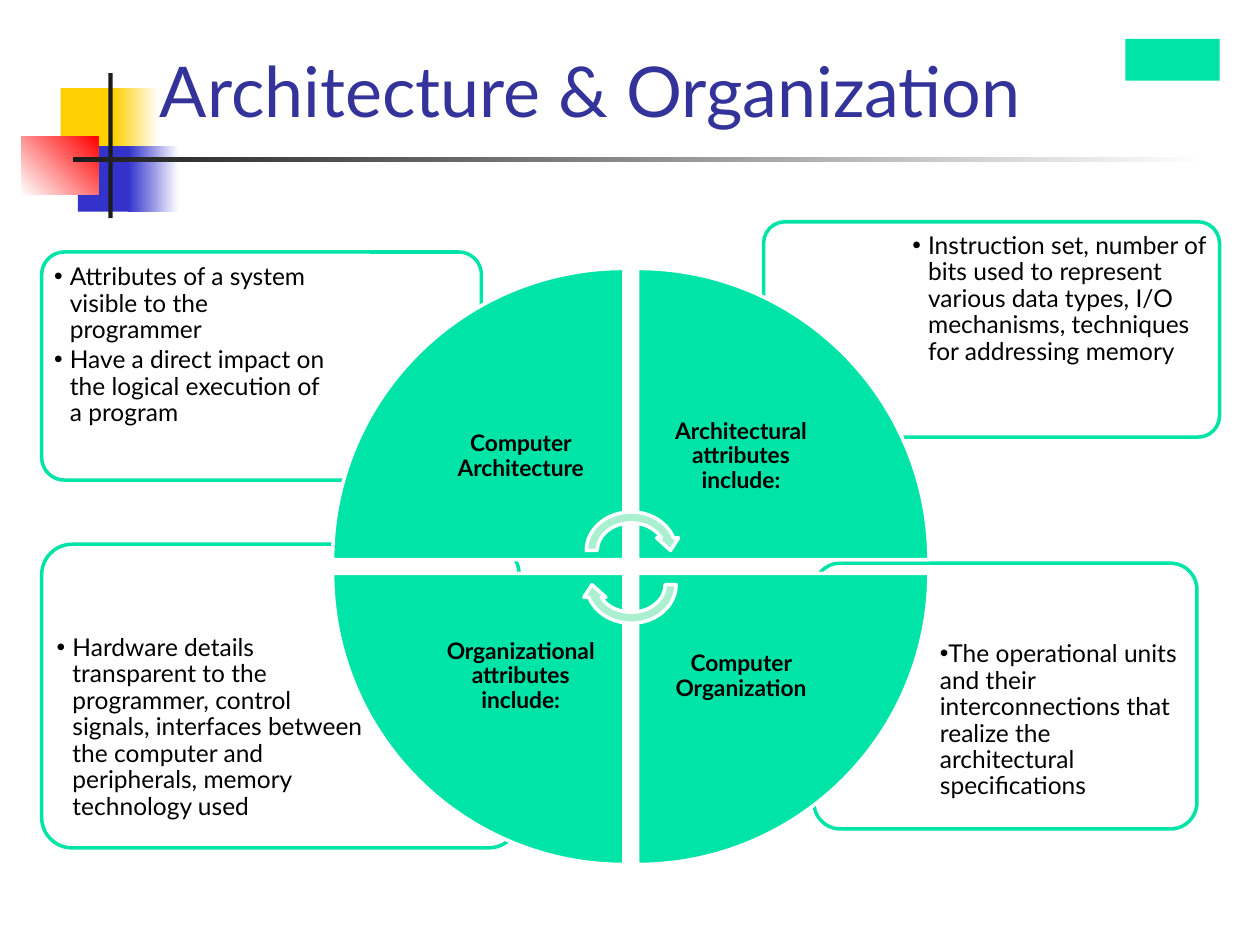
from dataclasses import dataclass
from typing import NamedTuple, Optional

from lxml.etree import SubElement
from pptx import Presentation
from pptx.dml.color import RGBColor
from pptx.enum.shapes import MSO_SHAPE
from pptx.enum.text import MSO_ANCHOR, MSO_AUTO_SIZE, PP_ALIGN
from pptx.oxml.ns import qn
from pptx.util import Pt


@dataclass(frozen=True)
class Theme:
    """Colours, font and type sizes of the slide."""

    font: str = "Lato"
    accent: str = "00E4A8"
    arrow: str = "ABEFD1"
    white: str = "FFFFFF"
    text: str = "000000"
    title: str = "333399"
    yellow: str = "FFCF01"
    blue: str = "3333CC"
    red: str = "FF0000"
    dark: str = "1C1C1C"
    title_size: float = 40
    list_size: float = 14
    label_size: float = 13
    outline: float = 2


class Box(NamedTuple):
    """Position and size in points."""

    left: float
    top: float
    width: float
    height: float


class Ornament(NamedTuple):
    """Plain or fading rectangle of the slide design."""

    box: Box
    color: str
    fade_to: Optional[str] = None
    angle: float = 0


class Card(NamedTuple):
    """Rounded frame with its list of points."""

    frame: Box
    list_box: Box
    points: tuple
    inset: float = 4.3
    indent: float = 9


class Quadrant(NamedTuple):
    """Wedge of the circle with its label."""

    column: int
    row: int
    label: str


THEME = Theme()
WEDGE_SIZE, LABEL_SIZE = 166.4, 118
WEDGE_LEFTS, WEDGE_TOPS = (190.1, 364.4), (153.4, 327.6)

ORNAMENTS = (
    Ornament(Box(34.6, 50.4, 34.6, 37.4), THEME.yellow),
    Ornament(Box(64.8, 50.4, 25.9, 37.4), THEME.yellow, THEME.white),
    Ornament(Box(44.6, 83.5, 33.1, 37.4), THEME.blue),
    Ornament(Box(73.4, 83.5, 28.8, 37.4), THEME.blue, THEME.white),
    Ornament(Box(12.2, 77.8, 43.9, 33.1), THEME.white, THEME.red, 45),
    Ornament(Box(61.9, 41.8, 2.5, 82.8), THEME.dark),
    Ornament(Box(41.8, 90, 648, 2.5), THEME.dark, THEME.white),
    Ornament(Box(643, 22.3, 54, 23.8), THEME.accent),
)

CARDS = (
    Card(Box(465.1, 321.8, 218.9, 151.9), Box(534.2, 363.6, 146.2, 107.3),
         ("The operational units and their interconnections that realize the "
          "architectural specifications",), inset=2.9, indent=0),
    Card(Box(23.8, 311, 272.9, 173.5), Box(28.1, 358.6, 183.6, 122.4),
         ("Hardware details transparent to the programmer, control signals, interfaces "
          "between the computer and peripherals, memory technology used",)),
    Card(Box(436.3, 126.7, 260.6, 123.1), Box(517, 128.9, 177.1, 87.1),
         ("Instruction set, number of bits used to represent various data types, I/O "
          "mechanisms, techniques for addressing memory",)),
    Card(Box(23.8, 144, 251.3, 130.3), Box(26.6, 146.9, 170.6, 91.4),
         ("Attributes of a system visible to the programmer",
          "Have a direct impact on the logical execution of a program")),
)

QUADRANTS = (
    Quadrant(0, 0, "Computer Architecture"),
    Quadrant(1, 0, "Architectural attributes include:"),
    Quadrant(1, 1, "Computer Organization"),
    Quadrant(0, 1, "Organizational attributes include:"),
)


def add_figure(slide, kind: MSO_SHAPE, box: Box, color: str,
               outline: Optional[str] = None, rotation: float = 0):
    """Draw a preset shape without shadow."""
    figure = slide.shapes.add_shape(kind, *map(Pt, box))
    figure.shadow.inherit = False
    figure.rotation = rotation
    figure.fill.solid()
    figure.fill.fore_color.rgb = RGBColor.from_string(color)
    if outline:
        figure.line.color.rgb = RGBColor.from_string(outline)
        figure.line.width = Pt(THEME.outline)
    else:
        figure.line.fill.background()
    return figure


def add_ornament(slide, ornament: Ornament) -> None:
    """Draw one rectangle of the slide design."""
    rectangle = add_figure(slide, MSO_SHAPE.RECTANGLE, ornament.box, ornament.color)
    if ornament.fade_to:
        rectangle.fill.gradient()
        rectangle.fill.gradient_angle = ornament.angle
        for stop, color in zip(rectangle.fill.gradient_stops,
                               (ornament.color, ornament.fade_to)):
            stop.color.rgb = RGBColor.from_string(color)


def prepare_frame(holder, inset: float, anchor: MSO_ANCHOR):
    """Set wrapping, margins and anchor of a text frame."""
    frame = holder.text_frame
    frame.word_wrap = True
    frame.auto_size = MSO_AUTO_SIZE.NONE
    frame.vertical_anchor = anchor
    frame.margin_left = frame.margin_right = Pt(inset)
    frame.margin_top = frame.margin_bottom = Pt(inset)
    return frame


def add_run(paragraph, wording: str, size: float, color: str, bold: bool = False) -> None:
    """Append a formatted run to a paragraph."""
    run = paragraph.add_run()
    run.text = wording
    run.font.name = THEME.font
    run.font.size = Pt(size)
    run.font.bold = bold
    run.font.color.rgb = RGBColor.from_string(color)


def place(holder, box: Box) -> None:
    """Move a placeholder to its box and to the front."""
    holder.left, holder.top, holder.width, holder.height = map(Pt, box)
    holder.element.getparent().append(holder.element)


def add_card(slide, holder, card: Card) -> None:
    """Draw a frame and fill its list placeholder."""
    outline = add_figure(slide, MSO_SHAPE.ROUNDED_RECTANGLE, card.frame,
                         THEME.white, THEME.accent)
    outline.adjustments[0] = 0.1
    frame_color = outline.element.xpath("./p:spPr/a:solidFill/a:srgbClr")[0]
    SubElement(frame_color, qn("a:alpha"), val="90000")
    place(holder, card.list_box)
    frame = prepare_frame(holder, card.inset, MSO_ANCHOR.TOP)
    for index, point in enumerate(card.points):
        paragraph = frame.add_paragraph() if index else frame.paragraphs[0]
        paragraph.alignment = PP_ALIGN.LEFT
        paragraph.line_spacing = 0.9
        paragraph.space_before = Pt(0)
        paragraph.space_after = Pt(2)
        properties = paragraph._p.get_or_add_pPr()
        properties.set("marL", str(Pt(card.indent)))
        properties.set("indent", str(-Pt(card.indent)))
        SubElement(properties, qn("a:buChar"), char="•")
        add_run(paragraph, point, THEME.list_size, THEME.text)


def add_quadrant(slide, quadrant: Quadrant, rotation: float) -> None:
    """Draw a wedge and its label beside the circle's centre."""
    left, top = WEDGE_LEFTS[quadrant.column], WEDGE_TOPS[quadrant.row]
    add_figure(slide, MSO_SHAPE.PIE_WEDGE, Box(left, top, WEDGE_SIZE, WEDGE_SIZE),
               THEME.accent, THEME.white, rotation)
    inward = WEDGE_SIZE - LABEL_SIZE
    label_box = Box(left + inward * (1 - quadrant.column),
                    top + inward * (1 - quadrant.row), LABEL_SIZE, LABEL_SIZE)
    label = slide.shapes.add_textbox(*map(Pt, label_box))
    paragraph = prepare_frame(label, 7.2, MSO_ANCHOR.MIDDLE).paragraphs[0]
    paragraph.alignment = PP_ALIGN.CENTER
    paragraph.line_spacing = 0.9
    paragraph.space_after = Pt(4.5)
    add_run(paragraph, quadrant.label, THEME.label_size, THEME.text, bold=True)


def main() -> None:
    """Build the slide and save it."""
    presentation = Presentation()
    presentation.slide_width, presentation.slide_height = Pt(720), Pt(540)
    slide = presentation.slides.add_slide(presentation.slide_layouts.get_by_name("Comparison"))
    title, *lists = slide.placeholders
    for ornament in ORNAMENTS:
        add_ornament(slide, ornament)
    for holder, card in zip(lists, CARDS):
        add_card(slide, holder, card)
    for turn, quadrant in enumerate(QUADRANTS):
        add_quadrant(slide, quadrant, 90 * turn)
    for top, rotation in ((289.4, 0), (308.9, 180)):
        add_figure(slide, MSO_SHAPE.CIRCULAR_ARROW, Box(331.9, top, 57.6, 50.4),
                   THEME.arrow, THEME.white, rotation)
    place(title, Box(84.2, 23.8, 613.4, 66.2))
    heading = prepare_frame(title, 7.2, MSO_ANCHOR.TOP)
    heading.margin_top = heading.margin_bottom = Pt(3.6)
    heading.paragraphs[0].alignment = PP_ALIGN.LEFT
    add_run(heading.paragraphs[0], "Architecture & Organization", THEME.title_size, THEME.title)
    presentation.save("out.pptx")


if __name__ == "__main__":
    main()
